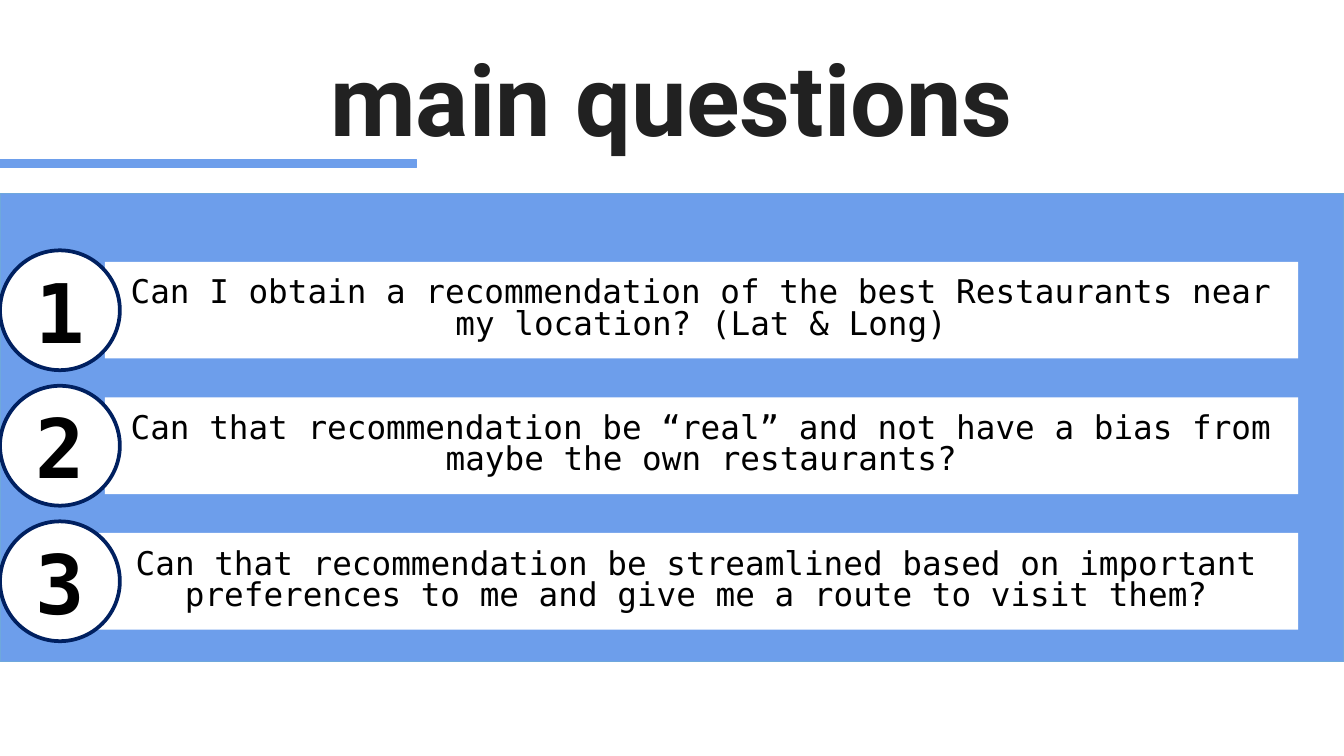
from dataclasses import dataclass
from typing import Any

from pptx import Presentation
from pptx import util as u
from pptx.dml.color import RGBColor
from pptx.enum import shapes, text


@dataclass(frozen=True)
class Theme:
    blue: str = "6D9EEB"
    panel_edge: str = "6FA8DC"
    navy: str = "002060"
    white: str = "FFFFFF"
    black: str = "000000"
    heading: str = "212121"
    title_font: str = "Roboto"
    body_font: str = "DejaVu Sans Mono"
    title_size: float = 53
    body_size: float = 17.5
    number_size: float = 44


@dataclass(frozen=True)
class Box:
    left: float
    top: float
    width: float
    height: float


@dataclass(frozen=True)
class Question:
    wording: str
    left: float = 56.2


THEME = Theme()
QUESTIONS = [
    Question("Can I obtain a recommendation of the best Restaurants near my location? (Lat & Long)"),
    Question("Can that recommendation be “real” and not have a bias from maybe the own restaurants?"),
    Question(
        "Can that recommendation be streamlined based on important preferences to me "
        "and give me a route to visit them?",
        left=51.1,
    ),
]
CARD_RIGHT, CARD_HEIGHT = 695.5, 51.8
CIRCLE_SIZE = 64.2
FIRST_CENTER, PITCH = 166.2, 72.6


def apply(target: Any, values: dict[str, Any]) -> None:
    for name, value in values.items():
        setattr(target, name, value)


def write(shape: Any, wording: str, font: dict[str, Any], color: str,
          anchor: Any, margin: float, spacing: float = 1.0) -> None:
    frame = shape.text_frame
    apply(frame, {
        "word_wrap": True,
        "auto_size": text.MSO_AUTO_SIZE.NONE,
        "vertical_anchor": anchor,
        "margin_left": u.Pt(7.2),
        "margin_right": u.Pt(7.2),
        "margin_top": u.Pt(margin),
        "margin_bottom": u.Pt(margin),
    })
    para = frame.paragraphs[0]
    apply(para, {"alignment": text.PP_ALIGN.CENTER, "line_spacing": spacing})
    span = para.add_run()
    span.text = wording
    apply(span.font, font)
    span.font.color.rgb = RGBColor.from_string(color)


def draw(page: Any, kind: Any, box: Box, fill: str,
         edge: str | None = None, weight: float = 0.75) -> Any:
    shape = page.shapes.add_shape(
        kind, u.Pt(box.left), u.Pt(box.top), u.Pt(box.width), u.Pt(box.height))
    shape.shadow.inherit = False
    shape.fill.solid()
    shape.fill.fore_color.rgb = RGBColor.from_string(fill)
    if edge:
        shape.line.color.rgb = RGBColor.from_string(edge)
        shape.line.width = u.Pt(weight)
    else:
        shape.line.fill.background()
    return shape


def draw_title(page: Any, wording: str) -> None:
    title = page.shapes.title
    apply(title, {"left": u.Pt(24.5), "top": u.Pt(13), "width": u.Pt(671), "height": u.Pt(64.8)})
    font = {"name": THEME.title_font, "size": u.Pt(THEME.title_size), "bold": True}
    write(title, wording, font, THEME.heading, text.MSO_ANCHOR.TOP, 7.2)


def draw_question(page: Any, index: int, question: Question) -> None:
    center = FIRST_CENTER + index * PITCH
    middle = text.MSO_ANCHOR.MIDDLE
    card = draw(page, shapes.MSO_SHAPE.RECTANGLE,
                Box(question.left, center - CARD_HEIGHT / 2,
                    CARD_RIGHT - question.left, CARD_HEIGHT), THEME.white)
    write(card, question.wording,
          {"name": THEME.body_font, "size": u.Pt(THEME.body_size), "bold": False},
          THEME.black, middle, 7.2, 0.8)
    circle = draw(page, shapes.MSO_SHAPE.OVAL,
                  Box(0, center - CIRCLE_SIZE / 2, CIRCLE_SIZE, CIRCLE_SIZE),
                  THEME.white, THEME.navy, 2)
    write(circle, str(index + 1),
          {"name": THEME.body_font, "size": u.Pt(THEME.number_size), "bold": True},
          THEME.black, middle, 3.6)


def main() -> None:
    deck = Presentation()
    apply(deck, {"slide_width": u.Pt(720), "slide_height": u.Pt(405)})
    page = deck.slides.add_slide(deck.slide_layouts[0])
    subtitle = page.placeholders[1].element
    subtitle.getparent().remove(subtitle)

    rectangle = shapes.MSO_SHAPE.RECTANGLE
    draw(page, rectangle, Box(0, 103.7, 720, 250.6), THEME.blue, THEME.panel_edge)
    draw_title(page, "main questions")
    draw(page, rectangle, Box(0, 85.5, 223.2, 4.2), THEME.blue, THEME.blue)
    for index, question in enumerate(QUESTIONS):
        draw_question(page, index, question)
    deck.save("out.pptx")


if __name__ == "__main__":
    main()
